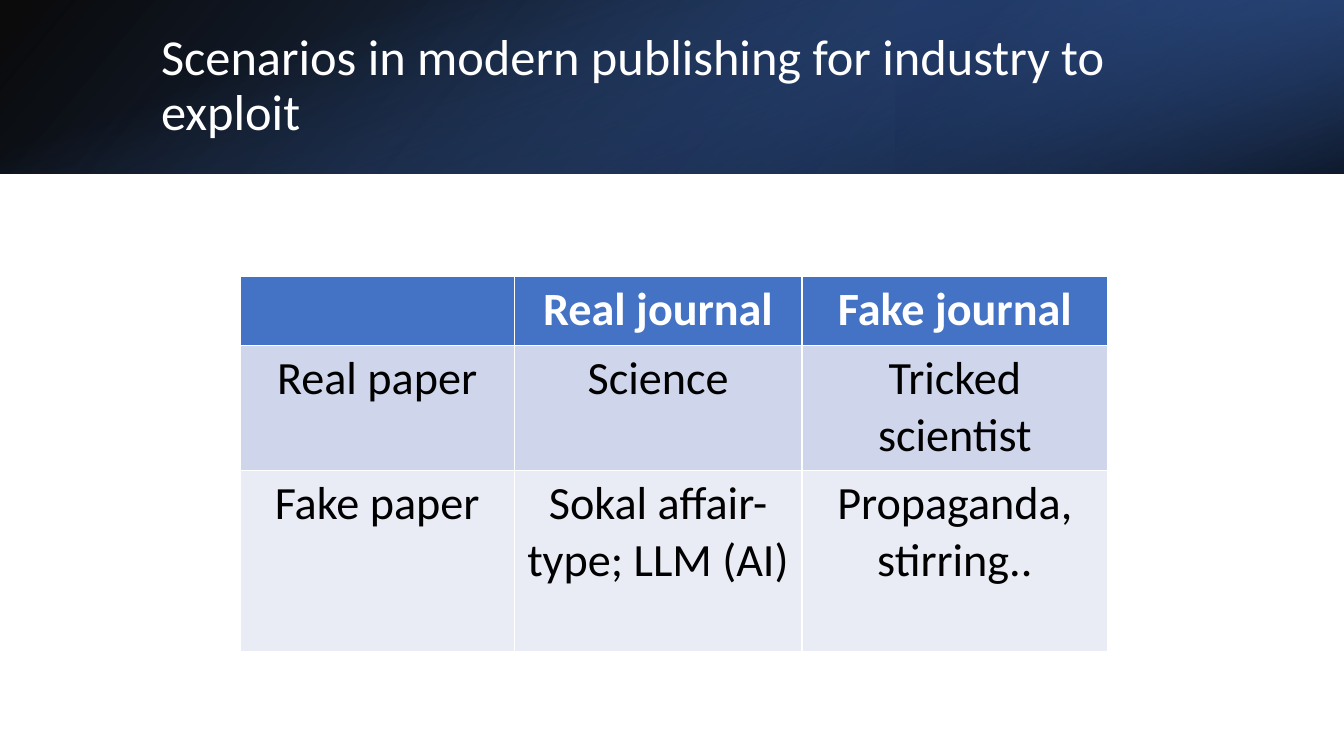
from dataclasses import dataclass

from lxml.etree import SubElement
from pptx import Presentation
from pptx.dml.color import RGBColor
from pptx.enum.shapes import MSO_SHAPE
from pptx.enum.text import MSO_ANCHOR, PP_ALIGN
from pptx.oxml.ns import qn
from pptx.util import Cm, Pt


@dataclass(frozen=True)
class Theme:
    font: str = "Calibri"
    title_size: int = 36
    table_size: int = 33
    white: str = "FFFFFF"
    black: str = "000000"
    navy: str = "203864"
    dark_blue: str = "2F5597"
    blue: str = "4472C4"
    bands: tuple = ("CFD5EA", "E9EBF5")


class SlideBuilder:
    def __init__(self, slide, theme):
        self.slide = slide
        self.theme = theme

    def style(self, p, size, color, bold=False):
        p.font.name = self.theme.font
        p.font.size = Pt(size)
        p.font.bold = bold
        p.font.color.rgb = RGBColor.from_string(color)

    def gradient_rect(self, box, stops, angle, rotation=0, flip=False):
        """Rectangle with (position %, colour, opacity %) gradient stops."""
        sp = self.slide.shapes.add_shape(MSO_SHAPE.RECTANGLE, *map(Cm, box))
        sp.shadow.inherit = False
        sp.line.fill.background()
        sp.rotation = rotation
        if flip:
            sp._element.spPr.find(qn("a:xfrm")).set("flipH", "1")
        sp.fill.gradient()
        grad = sp._element.spPr.find(qn("a:gradFill"))
        for child in list(grad):
            grad.remove(child)
        stop_list = SubElement(grad, qn("a:gsLst"))
        for position, color, opacity in stops:
            gs = SubElement(stop_list, qn("a:gs"), pos=str(position * 1000))
            clr = SubElement(gs, qn("a:srgbClr"), val=color)
            SubElement(clr, qn("a:alpha"), val=str(opacity * 1000))
        SubElement(grad, qn("a:lin"), ang=str(angle * 60000), scaled="0")

    def title(self, box, text):
        tf = self.slide.shapes.add_textbox(*map(Cm, box)).text_frame
        tf.word_wrap = True
        tf.vertical_anchor = MSO_ANCHOR.MIDDLE
        p = tf.paragraphs[0]
        p.text = text
        p.line_spacing = 0.9
        self.style(p, self.theme.title_size, self.theme.white)

    def table(self, left, top, widths, heights, rows):
        theme = self.theme
        table = self.slide.shapes.add_table(
            len(rows), len(widths), Cm(left), Cm(top),
            Cm(sum(widths)), Cm(sum(heights))).table
        for column, width in zip(table.columns, widths):
            column.width = Cm(width)
        for i, (row, height) in enumerate(zip(table.rows, heights)):
            row.height = Cm(height)
            header = i == 0
            fill = theme.blue if header else theme.bands[(i - 1) % 2]
            color = theme.white if header else theme.black
            for cell, text in zip(row.cells, rows[i]):
                cell.fill.solid()
                cell.fill.fore_color.rgb = RGBColor.from_string(fill)
                p = cell.text_frame.paragraphs[0]
                p.text = text
                p.alignment = PP_ALIGN.CENTER
                self.style(p, theme.table_size, color, bold=header)


def main():
    width, banner = 33.87, 4.38
    prs = Presentation()
    prs.slide_width, prs.slide_height = Cm(width), Cm(19.05)
    theme = Theme()
    s = SlideBuilder(prs.slides.add_slide(prs.slide_layouts[6]), theme)

    # Banner: three layered gradients
    s.gradient_rect((0, 0, width, banner),
                    [(0, theme.black, 96), (100, theme.dark_blue, 100)],
                    140, flip=True)
    s.gradient_rect((width * 2 / 3, 0, width / 3, banner),
                    [(19, theme.navy, 68), (100, theme.blue, 79)],
                    320, rotation=180, flip=True)
    offset = (width - banner) / 2
    s.gradient_rect((offset, -offset, banner, width),
                    [(23, theme.blue, 0), (99, theme.black, 74)],
                    340, rotation=90)

    # Title
    s.title((3.81, 0.97, 27.89, 2.44),
            "Scenarios in modern publishing for industry to exploit")

    # Scenario table
    s.table(6.05, 6.96, (6.91, 7.25, 7.71), (1.75, 3.15, 4.55), [
        ("", "Real journal", "Fake journal"),
        ("Real paper", "Science", "Tricked scientist"),
        ("Fake paper", "Sokal affair-type; LLM (AI)", "Propaganda, stirring.."),
    ])

    prs.save("out.pptx")


if __name__ == "__main__":
    main()
